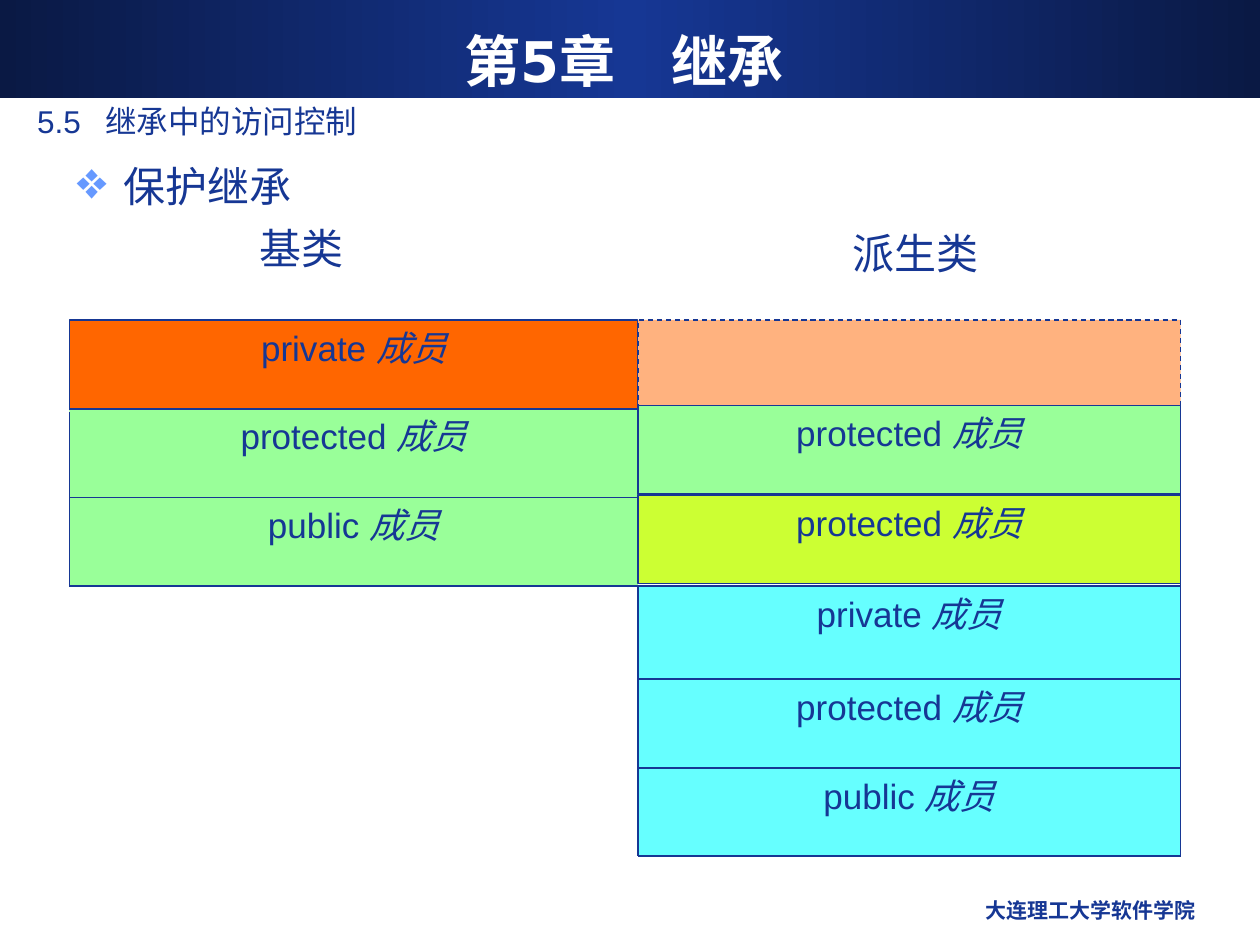
import copy
from dataclasses import dataclass

import pptx
import pptx.dml.color
import pptx.enum.dml
import pptx.enum.shapes
import pptx.enum.text
import pptx.oxml.ns
import pptx.util
from lxml import etree

Cm = pptx.util.Cm
Pt = pptx.util.Pt
qn = pptx.oxml.ns.qn
Align = pptx.enum.text.PP_ALIGN
Anchor = pptx.enum.text.MSO_ANCHOR
AutoSize = pptx.enum.text.MSO_AUTO_SIZE


@dataclass(frozen=True)
class Theme:
    navy: str = "163794"
    dark: str = "0A1944"
    white: str = "FFFFFF"
    bullet: str = "6699FF"
    orange: str = "FF6600"
    green: str = "99FF99"
    lime: str = "CCFF33"
    cyan: str = "66FFFF"
    title_size: int = 32
    heading_size: int = 24
    cell_size: int = 20
    section_size: int = 18
    footer_size: int = 12
    font: str = "Arial"
    title_font: str = "DejaVu Sans"
    label_font: str = "Times New Roman"


THEME = Theme()

# Table geometry in centimetres
LEFT, MIDDLE, RIGHT = 1.4, 12.86, 23.8
TOP, ROW = 6.45, 1.79
INHERITED_BOTTOM = TOP + 3 * ROW
OWN_ROWS = [INHERITED_BOTTOM, 13.69, 15.48, 17.26]


def rgb(value):
    return pptx.dml.color.RGBColor.from_string(value)


def add_run(paragraph, text, **formats):
    run = paragraph.add_run()
    run.text = text
    values = {"name": THEME.font, "size": THEME.cell_size, "color": THEME.navy, **formats}
    run.font.color.rgb = rgb(values.pop("color"))
    values["size"] = Pt(values["size"])
    for name, value in values.items():
        setattr(run.font, name, value)


def add_text(slide, box, text, align=Align.LEFT, anchor=Anchor.TOP, wrap=True, **formats):
    shape = slide.shapes.add_textbox(*map(Cm, box))
    frame = shape.text_frame
    frame.word_wrap = wrap
    frame.auto_size = AutoSize.NONE if wrap else AutoSize.SHAPE_TO_FIT_TEXT
    frame.vertical_anchor = anchor
    paragraph = frame.paragraphs[0]
    paragraph.alignment = align
    add_run(paragraph, text, **formats)
    return paragraph


def add_bullet(paragraph, character, color, indent):
    properties = paragraph._p.get_or_add_pPr()
    properties.set("marL", str(Cm(indent)))
    properties.set("indent", str(-Cm(indent)))
    bullet_color = etree.SubElement(properties, qn("a:buClr"))
    etree.SubElement(bullet_color, qn("a:srgbClr"), val=color)
    etree.SubElement(properties, qn("a:buSzPct"), val="125000")
    etree.SubElement(properties, qn("a:buChar"), char=character)


def add_tab_stop(paragraph, position):
    tabs = etree.SubElement(paragraph._p.get_or_add_pPr(), qn("a:tabLst"))
    etree.SubElement(tabs, qn("a:tab"), pos=str(Cm(position)), algn="l")


def add_rectangle(slide, left, top, width, height):
    kind = pptx.enum.shapes.MSO_SHAPE.RECTANGLE
    shape = slide.shapes.add_shape(kind, Cm(left), Cm(top), Cm(width), Cm(height))
    shape.shadow.inherit = False
    shape.line.fill.background()
    return shape


def add_banner(slide):
    banner = add_rectangle(slide, 0, 0, 25.4, 1.98)
    banner.fill.gradient()
    banner.fill.gradient_angle = 0
    first, last = banner.fill.gradient_stops
    for stop in (first, last):
        stop.color.rgb = rgb(THEME.dark)
    stops = banner._element.spPr.find(qn("a:gradFill")).find(qn("a:gsLst"))
    center = copy.deepcopy(stops[0])
    center.set("pos", "50000")
    center.find(qn("a:srgbClr")).set("val", THEME.navy)
    stops.insert(1, center)


def add_cell(slide, left, right, top, height, color, access=None, outlined=False):
    cell = add_rectangle(slide, left, top, right - left, height)
    cell.fill.solid()
    cell.fill.fore_color.rgb = rgb(color)
    if outlined:
        cell.line.color.rgb = rgb(THEME.navy)
        cell.line.width = Pt(0.75)
    if access:
        cell.text_frame.vertical_anchor = Anchor.TOP
        paragraph = cell.text_frame.paragraphs[0]
        paragraph.alignment = Align.CENTER
        add_run(paragraph, access + " ")
        add_run(paragraph, "成员", italic=True)
    return cell


def add_line(slide, x1, y1, x2, y2):
    kind = pptx.enum.shapes.MSO_CONNECTOR.STRAIGHT
    line = slide.shapes.add_connector(kind, Cm(x1), Cm(y1), Cm(x2), Cm(y2))
    line.line.color.rgb = rgb(THEME.navy)
    line.line.width = Pt(1)
    etree.SubElement(line._element.spPr, qn("a:effectLst"))


def add_grid(slide, left, right, rows, side_top):
    for y in rows:
        add_line(slide, left, y, right, y)
    for x in (left, right):
        add_line(slide, x, side_top, x, rows[-1])


def add_hidden_cell(slide):
    cell = add_cell(slide, MIDDLE, RIGHT, TOP, ROW, THEME.orange, outlined=True)
    cell.line.dash_style = pptx.enum.dml.MSO_LINE.DASH
    color = cell._element.spPr.find(qn("a:solidFill")).find(qn("a:srgbClr"))
    etree.SubElement(color, qn("a:alpha"), val="50000")


def main():
    presentation = pptx.Presentation()
    presentation.slide_width, presentation.slide_height = Cm(25.4), Cm(19.05)
    slide = presentation.slides.add_slide(presentation.slide_layouts[6])

    # Banner, section, heading and footer
    add_banner(slide)
    add_text(slide, (0.84, 0.43, 23.5, 1.57), "第5章　继承", Align.CENTER, Anchor.MIDDLE,
             name=THEME.title_font, size=THEME.title_size, color=THEME.white, bold=True)
    heading = add_text(slide, (1.3, 3.12, 22.86, 14.58), "保护继承", size=THEME.heading_size)
    add_bullet(heading, "❖", THEME.bullet, 0.95)
    add_text(slide, (16.31, 17.96, 8.05, 0.89), "大连理工大学软件学院", Align.RIGHT,
             size=THEME.footer_size, bold=True)
    section = add_text(slide, (0.5, 1.93, 23.5, 1.04), "5.5\t继承中的访问控制",
                       size=THEME.section_size)
    add_tab_stop(section, 1.37)

    # Base class members
    base_members = [("private", THEME.orange), ("protected", THEME.green),
                    ("public", THEME.green)]
    for row, (access, color) in enumerate(base_members):
        add_cell(slide, LEFT, MIDDLE, TOP + row * ROW, ROW, color, access, outlined=row == 0)
    add_grid(slide, LEFT, RIGHT, [TOP + row * ROW for row in (1, 2, 3)], 8.31)

    # Members added by the derived class
    own_members = ["private", "protected", "public"]
    for access, top, bottom in zip(own_members, OWN_ROWS, OWN_ROWS[1:]):
        add_cell(slide, MIDDLE, RIGHT, top, bottom - top, THEME.cyan, access)
    add_grid(slide, MIDDLE, RIGHT, OWN_ROWS, OWN_ROWS[0])

    # Column labels
    for text, box in [("基类", (4.98, 4.37, 2.25, 1.27)), ("派生类", (16.94, 4.47, 3.05, 1.27))]:
        add_text(slide, box, text, wrap=False, name=THEME.label_font, size=THEME.heading_size)

    # Inherited members as seen in the derived class
    add_hidden_cell(slide)
    for top, color in [(8.18, THEME.green), (9.98, THEME.lime)]:
        add_cell(slide, MIDDLE, RIGHT, top, 1.78, color, "protected", outlined=True)

    presentation.save("out.pptx")


if __name__ == "__main__":
    main()
